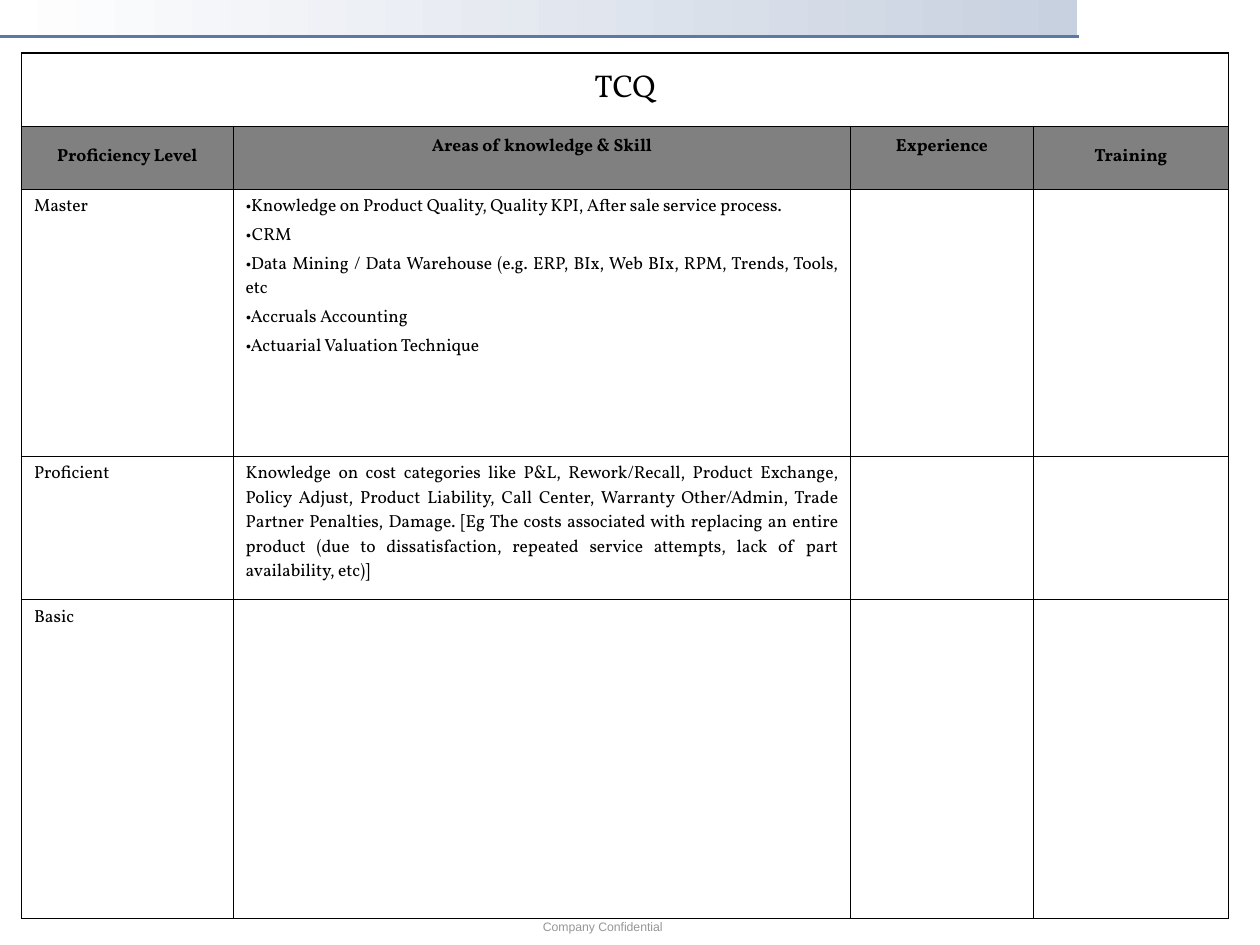
from lxml import etree
from pptx import Presentation
from pptx.dml.color import RGBColor
from pptx.enum.shapes import MSO_CONNECTOR, MSO_SHAPE
from pptx.enum.text import MSO_ANCHOR, PP_ALIGN
from pptx.oxml.ns import qn
from pptx.util import Inches, Pt

LEFT, CENTER, JUSTIFY = PP_ALIGN.LEFT, PP_ALIGN.CENTER, PP_ALIGN.JUSTIFY
TOP, MIDDLE = MSO_ANCHOR.TOP, MSO_ANCHOR.MIDDLE
COLORS = {
    "white": "FFFFFF", "band": "C8D1E0", "rule": "5D78A3",
    "footer": "969696", "header": "808080", "ink": "000000",
}
BODY_FONT, FOOTER_FONT = "Vollkorn", "Arial"
OUTER, INNER = 1.08, 0.45

TITLE = "TCQ"
HEADERS = [
    ("Proficiency Level", MIDDLE),
    ("Areas of knowledge & Skill", TOP),
    ("Experience", TOP),
    ("Training", MIDDLE),
]
LEVELS = [
    ("Master", [
        "•Knowledge on Product Quality, Quality KPI, After sale service process.",
        "•CRM",
        "•Data Mining / Data Warehouse (e.g. ERP, BIx, Web BIx, RPM, Trends, Tools, etc",
        "•Accruals Accounting",
        "•Actuarial Valuation Technique",
    ]),
    ("Proficient", [
        "Knowledge on cost categories like P&L, Rework/Recall, Product Exchange, "
        "Policy Adjust, Product Liability, Call Center, Warranty Other/Admin, "
        "Trade Partner Penalties, Damage. [Eg The costs associated with replacing "
        "an entire product (due to dissatisfaction, repeated service attempts, "
        "lack of part availability, etc)]",
    ]),
    ("Basic", []),
]
FOOTER = "Company Confidential"
COLUMN_WIDTHS = [1.68, 4.9, 1.45, 1.55]
ROW_HEIGHTS = [0.58, 0.5, 2.12, 1.14, 2.53]


def color(name):
    return RGBColor.from_string(COLORS[name])


def style_font(font, name, size, ink, bold=False):
    font.name, font.size, font.bold = name, Pt(size), bold
    font.color.rgb = color(ink)


def add_band(page):
    band = page.shapes.add_shape(
        MSO_SHAPE.RECTANGLE, 0, 0, Inches(8.55), Inches(0.3))
    band.shadow.inherit = False
    band.line.fill.background()
    band.fill.gradient()
    band.fill.gradient_angle = 0
    for stop, name in zip(band.fill.gradient_stops, ("white", "band")):
        stop.color.rgb = color(name)
    rule = page.shapes.add_connector(
        MSO_CONNECTOR.STRAIGHT, Inches(-0.03), Inches(0.29), Inches(8.56), Inches(0.29))
    rule.line.color.rgb = color("rule")
    rule.line.width = Pt(2.25)
    etree.SubElement(rule._element.spPr, qn("a:effectLst"))


def add_footer(page):
    box = page.shapes.add_textbox(
        Inches(4.21), Inches(7.25), Inches(1.56), Inches(0.22))
    frame = box.text_frame
    frame.word_wrap = True
    frame.margin_left = frame.margin_right = Inches(0.1)
    frame.text = FOOTER
    style_font(frame.paragraphs[0].runs[0].font, FOOTER_FONT, 7, "footer")


def set_borders(cell, row, column):
    edges = {
        "L": column == 0,
        "R": column == len(COLUMN_WIDTHS) - 1,
        "T": row == 0,
        "B": row == len(ROW_HEIGHTS) - 1,
    }
    properties = cell._tc.get_or_add_tcPr()
    for side, is_outer in edges.items():
        width = Pt(OUTER if is_outer else INNER)
        border = etree.SubElement(properties, qn(f"a:ln{side}"), w=str(width))
        fill = etree.SubElement(border, qn("a:solidFill"))
        etree.SubElement(fill, qn("a:srgbClr"), val=COLORS["ink"])


def fill_cell(cell, lines, align=LEFT, size=10, bold=False, anchor=TOP):
    cell.vertical_anchor = anchor
    cell.text_frame.text = "\n".join(lines)
    for index, para in enumerate(cell.text_frame.paragraphs):
        para.alignment = align
        if index:
            para.space_before = Pt(2.5)
        style_font(para.font, BODY_FONT, size, "ink", bold)
        for span in para.runs:
            style_font(span.font, BODY_FONT, size, "ink", bold)


def add_skill_table(page):
    table = page.shapes.add_table(
        len(ROW_HEIGHTS), len(COLUMN_WIDTHS), Inches(0.17), Inches(0.42),
        Inches(sum(COLUMN_WIDTHS)), Inches(sum(ROW_HEIGHTS))).table
    table.first_row = table.horz_banding = False
    for column, width in zip(table.columns, COLUMN_WIDTHS):
        column.width = Inches(width)
    for row_index, height in enumerate(ROW_HEIGHTS):
        table.rows[row_index].height = Inches(height)
        for column_index in range(len(COLUMN_WIDTHS)):
            cell = table.cell(row_index, column_index)
            set_borders(cell, row_index, column_index)
            if row_index == 1:
                cell.fill.solid()
                cell.fill.fore_color.rgb = color("header")
            else:
                cell.fill.background()

    table.cell(0, 0).merge(table.cell(0, len(COLUMN_WIDTHS) - 1))
    fill_cell(table.cell(0, 0), [TITLE], CENTER, size=18, anchor=MIDDLE)
    for column, (label, anchor) in enumerate(HEADERS):
        cell = table.cell(1, column)
        fill_cell(cell, [label], CENTER, bold=True, anchor=anchor)
        if anchor == TOP:
            cell.margin_top = Inches(0.07)
    for row, (level, skills) in enumerate(LEVELS, start=2):
        fill_cell(table.cell(row, 0), [level])
        fill_cell(table.cell(row, 1), skills, JUSTIFY)


def main():
    """Build the proficiency slide and save it."""
    deck = Presentation()
    deck.slide_width, deck.slide_height = Inches(10), Inches(7.5)
    page = deck.slides.add_slide(deck.slide_layouts[6])
    add_band(page)
    add_footer(page)
    add_skill_table(page)
    deck.save("out.pptx")


if __name__ == "__main__":
    main()
